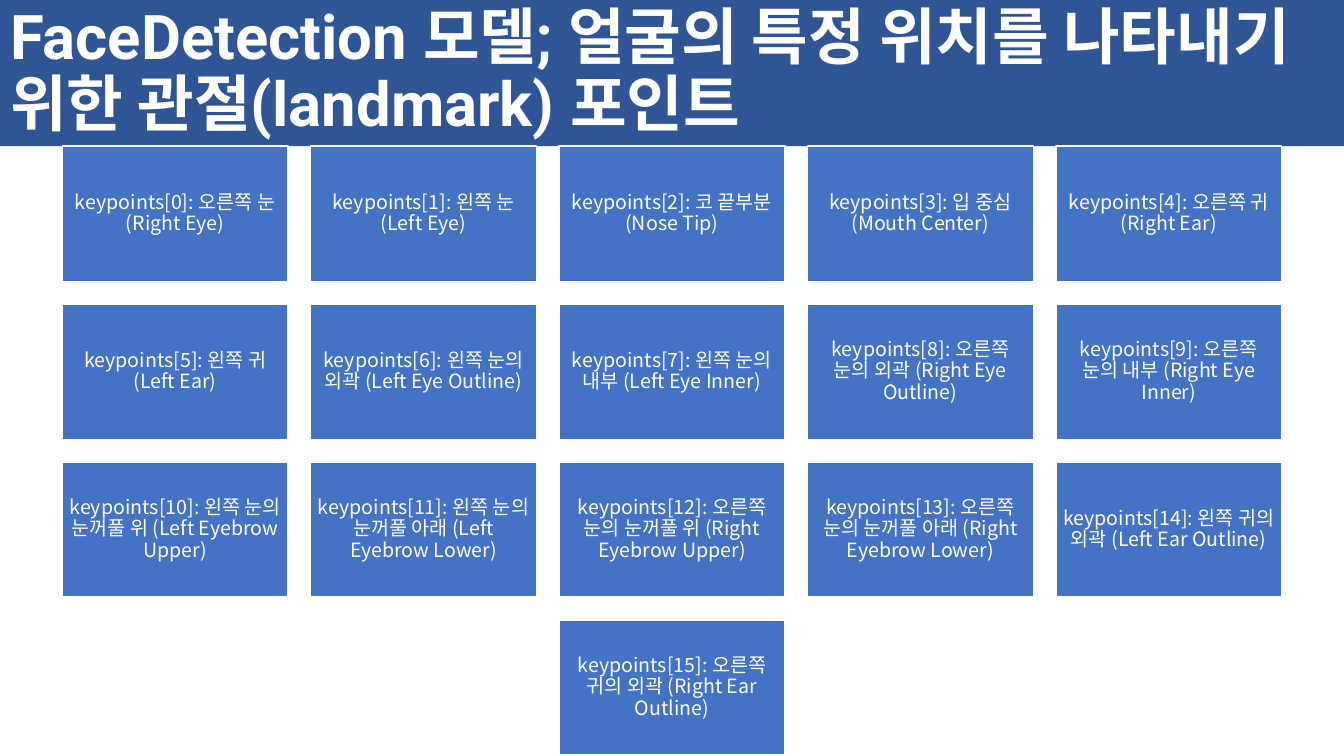
from pptx import Presentation
from pptx.dml.color import RGBColor
from pptx.enum.shapes import MSO_SHAPE
from pptx.enum.text import MSO_ANCHOR, PP_ALIGN
from pptx.oxml.ns import qn
from pptx.util import Cm, Pt

RECTANGLE = MSO_SHAPE.RECTANGLE
MIDDLE = MSO_ANCHOR.MIDDLE
LEFT, CENTER = PP_ALIGN.LEFT, PP_ALIGN.CENTER

COLORS = {"banner": "2F5597", "card": "4472C4", "white": "FFFFFF"}
SLIDE_WIDTH, SLIDE_HEIGHT = 33.87, 19.05
BANNER_HEIGHT = 3.68
COLUMNS = 5
CARD_WIDTH, CARD_HEIGHT, GAP = 5.69, 3.41, 0.57
CARD_INSET = 0.15

LANDMARKS = [
    "오른쪽 눈 (Right Eye)",
    "왼쪽 눈 (Left Eye)",
    "코 끝부분 (Nose Tip)",
    "입 중심 (Mouth Center)",
    "오른쪽 귀 (Right Ear)",
    "왼쪽 귀 (Left Ear)",
    "왼쪽 눈의 외곽 (Left Eye Outline)",
    "왼쪽 눈의 내부 (Left Eye Inner)",
    "오른쪽 눈의 외곽 (Right Eye Outline)",
    "오른쪽 눈의 내부 (Right Eye Inner)",
    "왼쪽 눈의 눈꺼풀 위 (Left Eyebrow Upper)",
    "왼쪽 눈의 눈꺼풀 아래 (Left Eyebrow Lower)",
    "오른쪽 눈의 눈꺼풀 위 (Right Eyebrow Upper)",
    "오른쪽 눈의 눈꺼풀 아래 (Right Eyebrow Lower)",
    "왼쪽 귀의 외곽 (Left Ear Outline)",
    "오른쪽 귀의 외곽 (Right Ear Outline)",
]


def paint(shape, color):
    shape.fill.solid()
    shape.fill.fore_color.rgb = RGBColor.from_string(COLORS[color])


def write(shape, text, size, font_name, alignment, bold=False):
    """Fill the shape with one vertically centred white paragraph."""
    frame = shape.text_frame
    frame.word_wrap = True
    frame.vertical_anchor = MIDDLE
    frame.text = text
    paragraph = frame.paragraphs[0]
    paragraph.alignment = alignment
    paragraph.line_spacing = 0.9
    paragraph.font.size = Pt(size)
    paragraph.font.name = font_name
    paragraph.font.bold = bold
    paragraph.font.color.rgb = RGBColor.from_string(COLORS["white"])
    # Korean letters take the East Asian font
    for latin in shape.element.iter(qn("a:latin")):
        east_asian = latin.makeelement(qn("a:ea"), {"typeface": "Noto Sans CJK KR"})
        latin.addnext(east_asian)


deck = Presentation()
deck.slide_width, deck.slide_height = Cm(SLIDE_WIDTH), Cm(SLIDE_HEIGHT)
page = deck.slides.add_slide(deck.slide_layouts[5])

title = page.shapes.title
title.left, title.top = Cm(0), Cm(0)
title.width, title.height = Cm(SLIDE_WIDTH), Cm(BANNER_HEIGHT)
paint(title, "banner")
write(title, "FaceDetection 모델; 얼굴의 특정 위치를 나타내기 위한 관절(landmark) 포인트",
      44, "Roboto", LEFT, bold=True)

for index, landmark in enumerate(LANDMARKS):
    row, column = divmod(index, COLUMNS)
    cards_in_row = min(COLUMNS, len(LANDMARKS) - row * COLUMNS)
    row_width = cards_in_row * (CARD_WIDTH + GAP) - GAP
    left = (SLIDE_WIDTH - row_width) / 2 + column * (CARD_WIDTH + GAP)
    top = BANNER_HEIGHT + row * (CARD_HEIGHT + GAP)
    card = page.shapes.add_shape(RECTANGLE, Cm(left), Cm(top), Cm(CARD_WIDTH), Cm(CARD_HEIGHT))
    card.shadow.inherit = False
    paint(card, "card")
    card.line.color.rgb = RGBColor.from_string(COLORS["white"])
    card.line.width = Pt(1)
    frame = card.text_frame
    frame.margin_left = frame.margin_right = Cm(CARD_INSET)
    frame.margin_top = frame.margin_bottom = Cm(CARD_INSET)
    write(card, f"keypoints[{index}]: {landmark}", 14, "Noto Sans CJK KR", CENTER)

deck.save("out.pptx")
